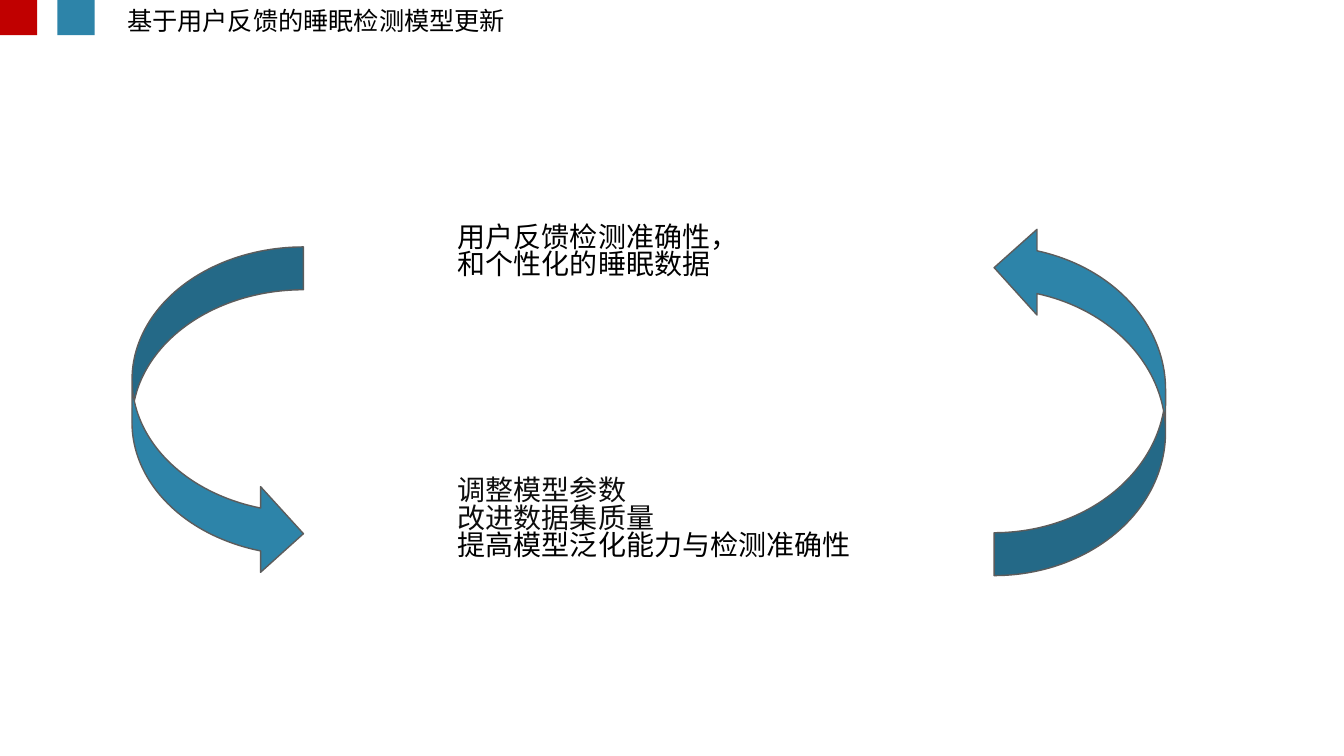
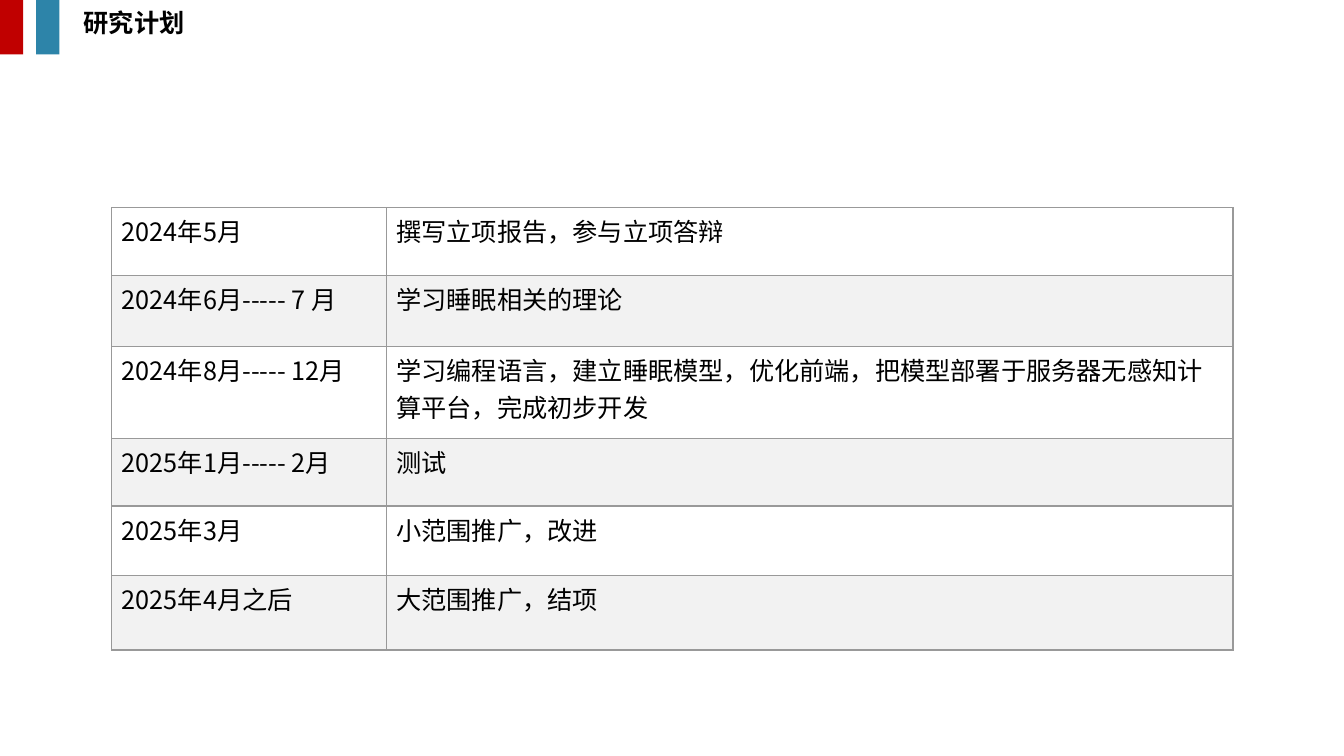
"""Build two slides: the model update loop and the research schedule."""
import pptx
import pptx.dml.color
import pptx.enum.shapes
import pptx.enum.text
import pptx.oxml
import pptx.oxml.ns
import pptx.util
from pptx.util import Inches

FONT = "Noto Sans CJK SC"
COLORS = {"red": "C00000", "blue": "2D84A9", "outline": "5C5C5C", "text": "000000",
          "soft_text": "0D0D0D", "grid": "999999", "white": "FFFFFF", "band": "F2F2F2"}
TIGHT = 0.83

UPDATE = {
    "title": "基于用户反馈的睡眠检测模型更新", "title_at": (1.16, 0.05, 5.96, 0.4),
    "bold": False, "block": (0.37, 0.35), "block_step": 0.57, "layout": "Two Content",
}
UPDATE_STEPS = [
    ((4.44, 2.18, 3.13, 0.77), [("用户反馈检测准确性，和个性化的睡眠数据", "text")]),
    ((4.44, 4.69, 4.36, 1.11), [("调整模型参数", "soft_text"),
                                ("改进数据集质量", "soft_text"),
                                ("提高模型泛化能力与检测准确性", "text")]),
]
LOOP_ARROWS = [((1.31, 2.45, 1.7, 3.27), 0), ((9.86, 2.23, 1.7, 3.48), 180)]

PLAN = {
    "title": "研究计划", "title_at": (0.73, 0.07, 3.72, 0.4),
    "bold": True, "block": (0.23, 0.54), "block_step": 0.36, "layout": "Title Only",
}
SCHEDULE = [
    (0.67, "2024年5月", "撰写立项报告，参与立项答辩"),
    (0.71, "2024年6月----- 7 月", "学习睡眠相关的理论"),
    (0.91, "2024年8月----- 12月",
     "学习编程语言，建立睡眠模型，优化前端，把模型部署于服务器无感知计算平台，完成初步开发"),
    (0.67, "2025年1月----- 2月", "测试"),
    (0.69, "2025年3月", "小范围推广，改进"),
    (0.74, "2025年4月之后", "大范围推广，结项"),
]
SCHEDULE_AT = (1.11, 2.06)
SCHEDULE_COLUMNS = (2.72, 8.4)


def rgb(name):
    return pptx.dml.color.RGBColor.from_string(COLORS[name])


def paint(fill, name):
    fill.solid()
    fill.fore_color.rgb = rgb(name)


def place(shape, at):
    shape.left, shape.top, shape.width, shape.height = map(Inches, at)


def style_paragraph(paragraph, size, color="text", bold=False):
    paragraph.alignment = pptx.enum.text.PP_ALIGN.LEFT
    for run in paragraph.runs:
        run.font.size = pptx.util.Pt(size)
        run.font.bold = bold
        run.font.color.rgb = rgb(color)
        run.font.name = FONT
        east_asian = pptx.oxml.parse_xml(
            f'<a:ea {pptx.oxml.ns.nsdecls("a")} typeface="{FONT}"/>')
        run.font._element.find(pptx.oxml.ns.qn("a:latin")).addnext(east_asian)


def fill_placeholder(holder, at, lines, size, bold=False):
    place(holder, at)
    frame = holder.text_frame
    frame.text = "\n".join(text for text, _ in lines)
    frame.word_wrap = True
    frame.auto_size = pptx.enum.text.MSO_AUTO_SIZE.NONE
    frame.vertical_anchor = pptx.enum.text.MSO_ANCHOR.TOP
    for paragraph, (_, color) in zip(frame.paragraphs, lines):
        style_paragraph(paragraph, size, color, bold)
        paragraph.line_spacing = TIGHT
        paragraph.space_before = pptx.util.Pt(0)
        properties = paragraph._p.get_or_add_pPr()
        properties.set("marL", "0")
        properties.set("indent", "0")
        properties.append(pptx.oxml.parse_xml(f'<a:buNone {pptx.oxml.ns.nsdecls("a")}/>'))


def add_filled_shape(slide, kind, at, color):
    shape = slide.shapes.add_shape(kind, *map(Inches, at))
    shape.shadow.inherit = False
    paint(shape.fill, color)
    shape.line.fill.background()
    return shape


def add_headed_slide(deck, head):
    slide = deck.slides.add_slide(deck.slide_layouts.get_by_name(head["layout"]))
    for index, color in enumerate(("red", "blue")):
        add_filled_shape(slide, pptx.enum.shapes.MSO_SHAPE.RECTANGLE,
                         (index * head["block_step"], 0, *head["block"]), color)
    fill_placeholder(slide.shapes.title, head["title_at"],
                     [(head["title"], "text")], 18, head["bold"])
    return slide


def add_cell_borders(cell):
    properties = cell._tc.get_or_add_tcPr()
    for position, side in enumerate(("lnL", "lnR", "lnT", "lnB")):
        properties.insert(position, pptx.oxml.parse_xml(
            f'<a:{side} {pptx.oxml.ns.nsdecls("a")} w="12700"><a:solidFill>'
            f'<a:srgbClr val="{COLORS["grid"]}"/></a:solidFill></a:{side}>'))


def build_update(deck):
    slide = add_headed_slide(deck, UPDATE)
    for at, rotation in LOOP_ARROWS:
        arrow = add_filled_shape(
            slide, pptx.enum.shapes.MSO_SHAPE.CURVED_RIGHT_ARROW, at, "blue")
        arrow.rotation = rotation
        arrow.line.color.rgb = rgb("outline")
        arrow.line.width = pptx.util.Pt(1)
    for holder, (at, lines) in zip(list(slide.placeholders)[1:], UPDATE_STEPS):
        fill_placeholder(holder, at, lines, 20)


def build_plan(deck):
    slide = add_headed_slide(deck, PLAN)
    size = sum(SCHEDULE_COLUMNS), sum(height for height, *_ in SCHEDULE)
    schedule = slide.shapes.add_table(len(SCHEDULE), len(SCHEDULE_COLUMNS),
                                      *map(Inches, SCHEDULE_AT + size)).table
    schedule.first_row = schedule.horz_banding = False
    for column, width in zip(schedule.columns, SCHEDULE_COLUMNS):
        column.width = Inches(width)
    for index, (height, *texts) in enumerate(SCHEDULE):
        schedule.rows[index].height = Inches(height)
        for cell, text in zip(schedule.rows[index].cells, texts):
            cell.text_frame.text = text
            style_paragraph(cell.text_frame.paragraphs[0], 18)
            paint(cell.fill, "band" if index % 2 else "white")
            add_cell_borders(cell)


def main():
    deck = pptx.Presentation()
    deck.slide_width, deck.slide_height = Inches(13.33), Inches(7.5)
    build_update(deck)
    build_plan(deck)
    deck.save("out.pptx")


if __name__ == "__main__":
    main()
